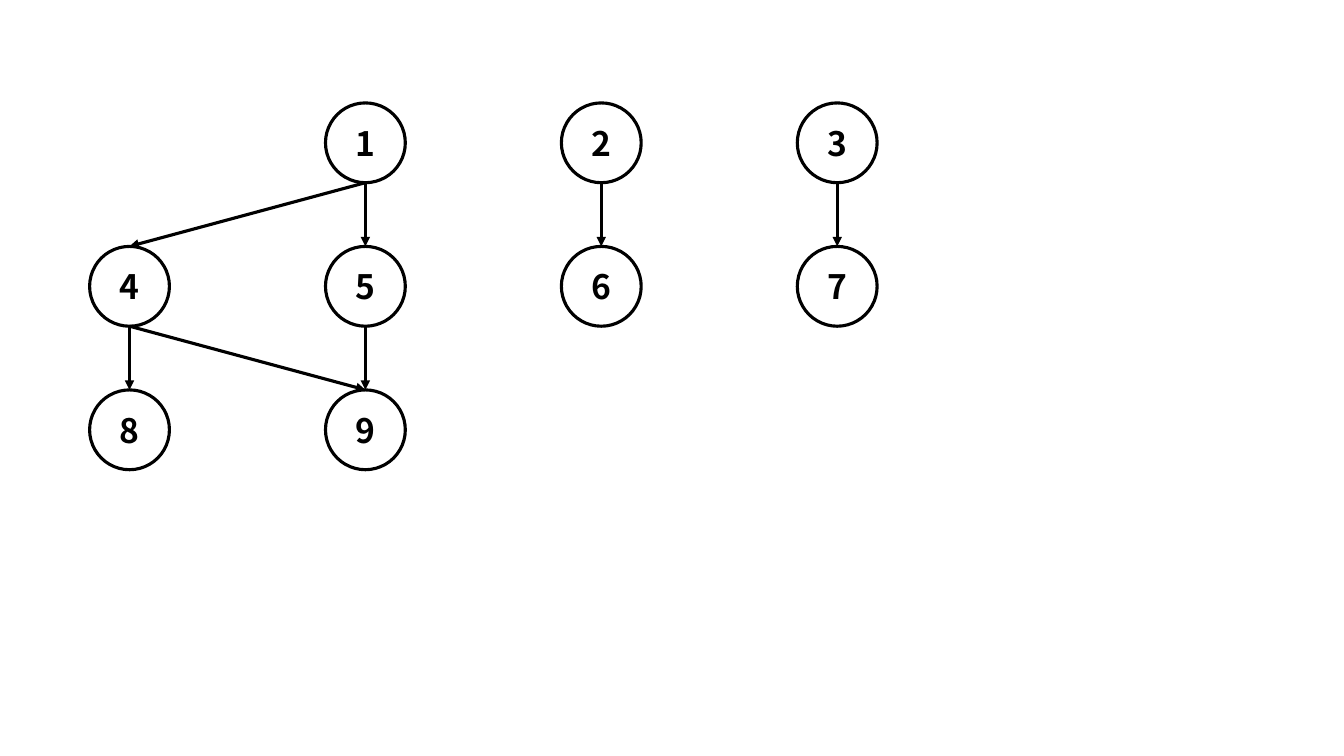
import pptx
import pptx.dml.color
import pptx.enum.dml
import pptx.enum.shapes
import pptx.enum.text
import pptx.oxml
import pptx.oxml.ns
import pptx.util

Pt = pptx.util.Pt

BLACK = pptx.dml.color.RGBColor(0x00, 0x00, 0x00)
FONT_NAME = "Noto Sans CJK SC"
LINE_WIDTH = 2.25

DIAMETER = 57
GRID_LEFT, GRID_TOP = 64, 73.5
COLUMN_STEP, ROW_STEP = 168.5, 102.5

# Node label: (column, row)
NODES = {
    "1": (1, 0), "2": (2, 0), "3": (3, 0),
    "4": (0, 1), "5": (1, 1), "6": (2, 1), "7": (3, 1),
    "8": (0, 2), "9": (1, 2),
}
EDGES = [("1", "5"), ("2", "6"), ("3", "7"), ("4", "8"),
         ("5", "9"), ("1", "4"), ("4", "9")]


def style_line(line):
    line.color.rgb = BLACK
    line.width = Pt(LINE_WIDTH)


def add_node(slide, label, column, row):
    shape = slide.shapes.add_shape(
        pptx.enum.shapes.MSO_SHAPE.OVAL,
        Pt(GRID_LEFT + column * COLUMN_STEP), Pt(GRID_TOP + row * ROW_STEP),
        Pt(DIAMETER), Pt(DIAMETER))
    shape.name = f"Node {label}"
    shape.shadow.inherit = False
    shape.fill.background()
    style_line(shape.line)

    frame = shape.text_frame
    frame.margin_left = frame.margin_right = Pt(0)
    frame.margin_top = frame.margin_bottom = Pt(0)
    frame.word_wrap = False
    frame.vertical_anchor = pptx.enum.text.MSO_ANCHOR.MIDDLE
    paragraph = frame.paragraphs[0]
    paragraph.text = label
    paragraph.alignment = pptx.enum.text.PP_ALIGN.CENTER
    paragraph.font.name = FONT_NAME
    paragraph.font.size = Pt(24)
    paragraph.font.bold = True
    paragraph.font.color.rgb = BLACK
    return shape


def add_edge(slide, parent, child):
    """Draw an arrow from the bottom of the parent to the top of the child."""
    connector = slide.shapes.add_connector(
        pptx.enum.shapes.MSO_CONNECTOR.STRAIGHT,
        parent.left + parent.width // 2, parent.top + parent.height,
        child.left + child.width // 2, child.top)
    style_line(connector.line)
    arrowhead = pptx.oxml.parse_xml(
        f'<a:tailEnd {pptx.oxml.ns.nsdecls("a")} type="triangle"/>')
    connector.line._get_or_add_ln().append(arrowhead)
    no_effects = pptx.oxml.parse_xml(
        f'<a:effectLst {pptx.oxml.ns.nsdecls("a")}/>')
    connector._element.spPr.append(no_effects)


def main():
    presentation = pptx.Presentation()
    presentation.slide_width = Pt(960)
    presentation.slide_height = Pt(540)
    slide = presentation.slides.add_slide(presentation.slide_layouts[6])

    nodes = {label: add_node(slide, label, column, row)
             for label, (column, row) in NODES.items()}
    for parent, child in EDGES:
        add_edge(slide, nodes[parent], nodes[child])

    presentation.save("out.pptx")


if __name__ == "__main__":
    main()
